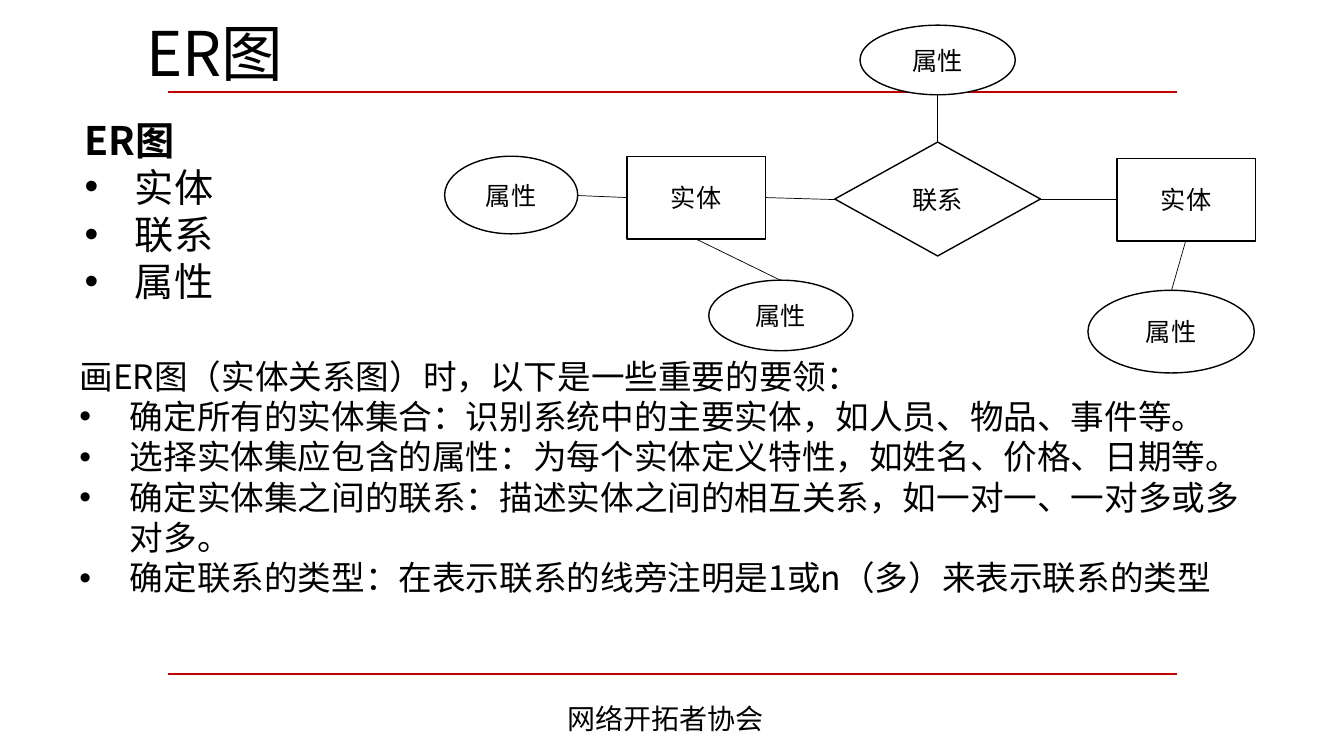
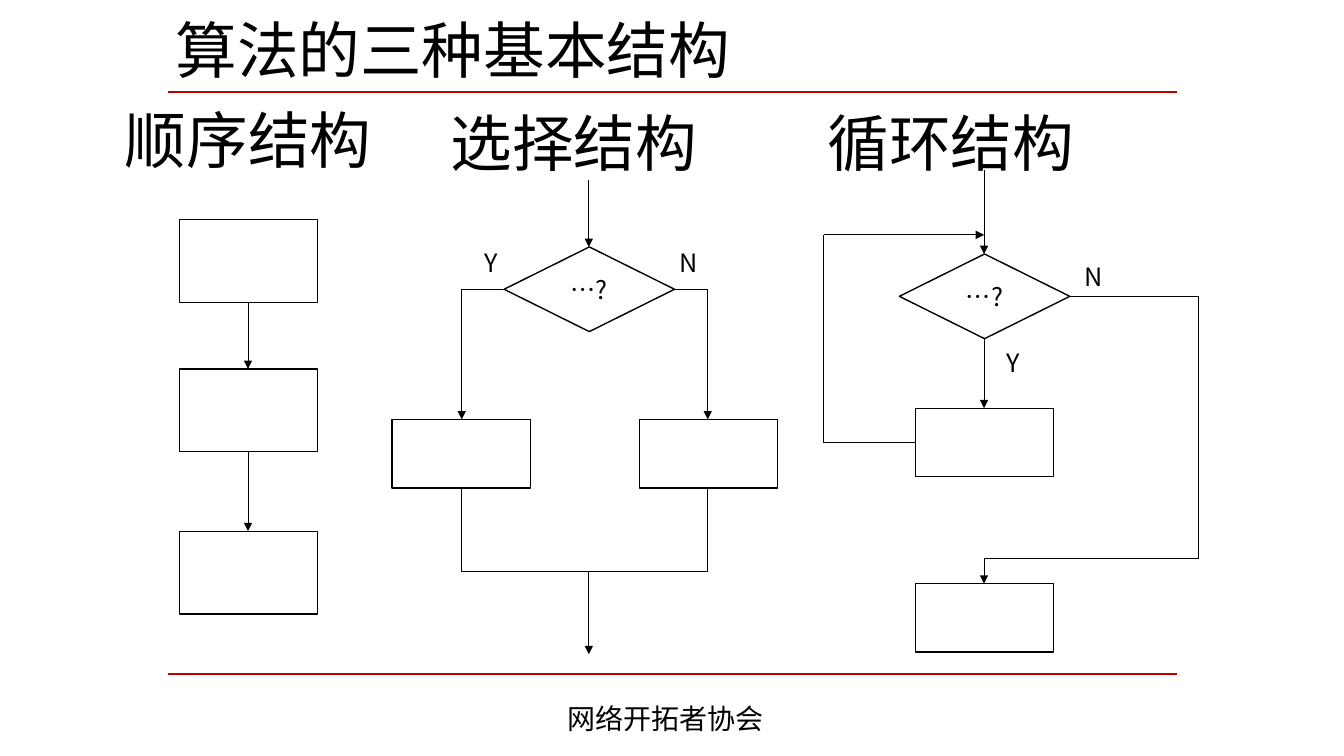
from pptx import Presentation
from pptx.dml.color import RGBColor
from pptx.enum.shapes import MSO_CONNECTOR, MSO_SHAPE
from pptx.enum.text import MSO_ANCHOR, MSO_AUTO_SIZE, PP_ALIGN
from pptx.oxml.ns import qn
from pptx.util import Pt
from lxml import etree

EMU_PER_PX = 9144  # 100 px to the inch
FONT = "Noto Sans CJK SC"
BLACK = RGBColor(0x00, 0x00, 0x00)
WHITE = RGBColor(0xFF, 0xFF, 0xFF)
RED = RGBColor(0xC0, 0x00, 0x00)

STRAIGHT, ELBOW = MSO_CONNECTOR.STRAIGHT, MSO_CONNECTOR.ELBOW
RECTANGLE, OVAL = MSO_SHAPE.RECTANGLE, MSO_SHAPE.OVAL
DECISION = MSO_SHAPE.FLOWCHART_DECISION
TOP, MIDDLE = MSO_ANCHOR.TOP, MSO_ANCHOR.MIDDLE
LEFT, CENTER = PP_ALIGN.LEFT, PP_ALIGN.CENTER
GROW = MSO_AUTO_SIZE.SHAPE_TO_FIT_TEXT

TITLE_ONLY = 5
TITLE_SIZE, FOOTER_SIZE, LABEL_SIZE = 44, 20, 18
RULE_LEFT, RULE_RIGHT = 167, 1167
RULE_TOPS = (91, 669)
FOOTER = "网络开拓者协会"

STEP_WIDTH, STEP_HEIGHT = 137, 68
TEST_WIDTH, TEST_HEIGHT = 169, 84


def px(*lengths):
    return [length * EMU_PER_PX for length in lengths]


def style_paragraph(para, size, bold=False, align=LEFT):
    para.alignment = align
    font = para.font
    font.size, font.bold = Pt(size), bold
    font.color.rgb = BLACK
    font.name = FONT
    east_asian = etree.SubElement(font._element, qn("a:ea"))
    east_asian.set("typeface", FONT)


def add_bullet(para):
    properties = para._p.get_or_add_pPr()
    indent = 50 * EMU_PER_PX
    properties.set("marL", str(indent))
    properties.set("indent", str(-indent))
    etree.SubElement(properties, qn("a:buFont")).set("typeface", "Arial")
    etree.SubElement(properties, qn("a:buChar")).set("char", "•")


def add_text(page, left, top, width, height, size, lead, bullets=(), bold_lead=False):
    """Place a lead line, with optional bulleted lines below it."""
    frame = page.shapes.add_textbox(*px(left, top, width, height)).text_frame
    frame.word_wrap = True
    frame.auto_size = GROW
    frame.paragraphs[0].text = lead
    style_paragraph(frame.paragraphs[0], size, bold_lead)
    for bullet in bullets:
        para = frame.add_paragraph()
        para.text = bullet
        add_bullet(para)
        style_paragraph(para, size)


def add_node(page, kind, left, top, width, height, text=""):
    node = page.shapes.add_shape(kind, *px(left, top, width, height))
    node.shadow.inherit = False
    node.fill.solid()
    node.fill.fore_color.rgb = WHITE
    node.line.color.rgb = BLACK
    node.line.width = Pt(1)
    if text:
        node.text_frame.text = text
        node.text_frame.vertical_anchor = MIDDLE
        style_paragraph(node.text_frame.paragraphs[0], LABEL_SIZE, align=CENTER)
    return node


def edge(node, side):
    """Return the middle of one side of a node, in px."""
    across, down = {"top": (0.5, 0), "bottom": (0.5, 1),
                    "left": (0, 0.5), "right": (1, 0.5)}[side]
    return (round((node.left + across * node.width) / EMU_PER_PX),
            round((node.top + down * node.height) / EMU_PER_PX))


def add_line(page, begin, end, arrow=False, kind=STRAIGHT, color=BLACK, width=0.5):
    line = page.shapes.add_connector(kind, *px(*begin, *end))
    line.line.color.rgb = color
    line.line.width = Pt(width)
    properties = line._element.spPr
    if arrow:
        outline = properties.find(qn("a:ln"))
        etree.SubElement(outline, qn("a:tailEnd")).set("type", "triangle")
    etree.SubElement(properties, qn("a:effectLst"))
    return line


def add_corner(page, begin, end, arrow=False):
    """Draw a line that runs across first, then turns once up or down."""
    line = add_line(page, begin, end, arrow, ELBOW)
    line._element.spPr.find(qn("a:prstGeom")).set("prst", "bentConnector2")


def add_page(deck, title, left, top, width):
    page = deck.slides.add_slide(deck.slide_layouts[TITLE_ONLY])
    box = page.shapes.title
    box.left, box.top, box.width, box.height = px(left, top, width, 84)
    frame = box.text_frame
    frame.text = title
    frame.word_wrap = True
    frame.auto_size = GROW
    frame.vertical_anchor = TOP
    style_paragraph(frame.paragraphs[0], TITLE_SIZE)
    for rule_top in RULE_TOPS:
        add_line(page, (RULE_LEFT, rule_top), (RULE_RIGHT, rule_top),
                 color=RED, width=1.5)
    add_text(page, 553, 691, 382, 44, FOOTER_SIZE, FOOTER)
    return page


def add_step(page, axis, top, height=STEP_HEIGHT):
    return add_node(page, RECTANGLE, axis - STEP_WIDTH // 2, top, STEP_WIDTH, height)


def add_test(page, axis, top):
    return add_node(page, DECISION, axis - TEST_WIDTH // 2, top,
                    TEST_WIDTH, TEST_HEIGHT, "…?")


def add_answer(page, left, top, letter):
    add_text(page, left, top, 34, 40, LABEL_SIZE, letter)


def add_heading(page, left, top, text):
    add_text(page, left, top, 301, 84, TITLE_SIZE, text)


def draw_entity_diagram(page):
    entity = add_node(page, RECTANGLE, 622, 155, 137, 82, "实体")
    other_entity = add_node(page, RECTANGLE, 1108, 157, 137, 82, "实体")
    relation = add_node(page, DECISION, 828, 141, 204, 113, "联系")
    relation_attribute = add_node(page, OVAL, 853, 25, 154, 69, "属性")
    left_attribute = add_node(page, OVAL, 441, 155, 132, 77, "属性")
    lower_attribute = add_node(page, OVAL, 703, 278, 143, 70, "属性")
    other_attribute = add_node(page, OVAL, 1079, 288, 165, 82, "属性")
    for start, start_side, finish, finish_side in (
        (left_attribute, "right", entity, "left"),
        (relation_attribute, "bottom", relation, "top"),
        (entity, "right", relation, "left"),
        (other_entity, "left", relation, "right"),
        (lower_attribute, "top", entity, "bottom"),
        (other_attribute, "top", other_entity, "bottom"),
    ):
        add_line(page, edge(start, start_side), edge(finish, finish_side))


def draw_sequence(page):
    add_heading(page, 114, 96, "顺序结构")
    steps = [add_step(page, 246, top, 82) for top in (218, 366, 527)]
    for step, following in zip(steps, steps[1:]):
        add_line(page, edge(step, "bottom"), edge(following, "top"), arrow=True)


def draw_choice(page):
    axis, merge = 584, 567
    add_heading(page, 437, 99, "选择结构")
    test = add_test(page, axis, 245)
    add_line(page, (axis, 179), edge(test, "top"), arrow=True)
    for side, step_axis in (("left", 457), ("right", 702)):
        step = add_step(page, step_axis, 416)
        add_corner(page, edge(test, side), edge(step, "top"), arrow=True)
        add_corner(page, (axis, merge), edge(step, "bottom"))
    add_line(page, (axis, merge), (axis, 649), arrow=True)
    add_answer(page, 471, 240, "Y")
    add_answer(page, 664, 240, "N")


def draw_loop(page):
    axis, back, back_top, leave, leave_bottom = 976, 817, 233, 1189, 554
    add_heading(page, 811, 99, "循环结构")
    test = add_test(page, axis, 252)
    body = add_step(page, axis, 405)
    after = add_step(page, axis, 579)
    add_line(page, (axis, 169), edge(test, "top"), arrow=True)
    add_line(page, edge(test, "bottom"), edge(body, "top"), arrow=True)
    add_corner(page, edge(body, "left"), (back, back_top))
    add_line(page, (back, back_top), (axis, back_top), arrow=True)
    add_corner(page, edge(test, "right"), (leave, leave_bottom))
    add_corner(page, (leave, leave_bottom), edge(after, "top"), arrow=True)
    add_answer(page, 1066, 254, "N")
    add_answer(page, 988, 340, "Y")


def build_entity_page(deck):
    page = add_page(deck, "ER图", 135, 10, 939)
    add_text(page, 74, 110, 622, 199, 28, "ER图", ("实体", "联系", "属性"),
             bold_lead=True)
    add_text(page, 69, 348, 1183, 252, 24,
             "画ER图（实体关系图）时，以下是一些重要的要领：", (
                 "确定所有的实体集合：识别系统中的主要实体，如人员、物品、事件等。",
                 "选择实体集应包含的属性：为每个实体定义特性，如姓名、价格、日期等。",
                 "确定实体集之间的联系：描述实体之间的相互关系，如一对一、一对多或多对多。",
                 "确定联系的类型：在表示联系的线旁注明是1或n（多）来表示联系的类型",
             ))
    draw_entity_diagram(page)


def build_structure_page(deck):
    page = add_page(deck, "算法的三种基本结构", 164, 7, 702)
    draw_sequence(page)
    draw_choice(page)
    draw_loop(page)


def main():
    deck = Presentation()
    deck.slide_width, deck.slide_height = px(1333, 750)
    build_entity_page(deck)
    build_structure_page(deck)
    deck.save("out.pptx")


if __name__ == "__main__":
    main()
